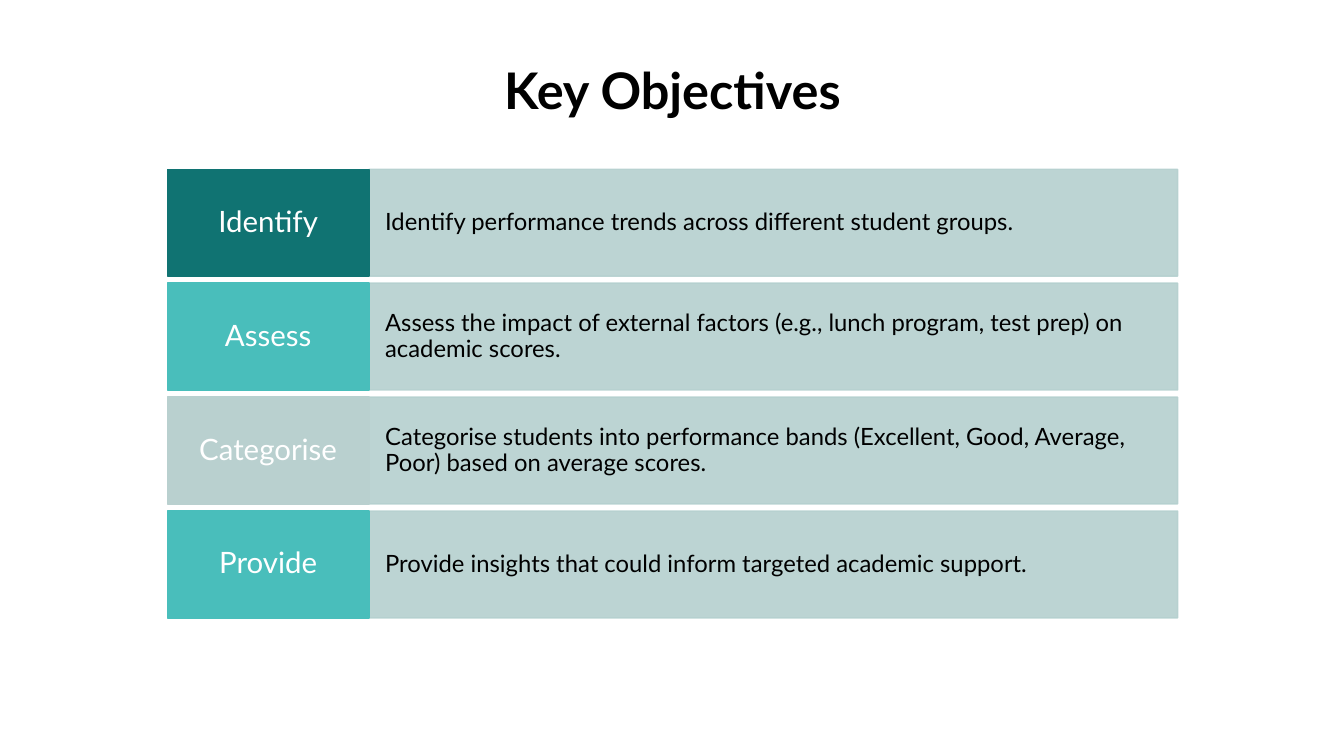
from dataclasses import dataclass

from lxml.etree import SubElement
from pptx import Presentation
from pptx.dml.color import RGBColor
from pptx.enum.shapes import MSO_SHAPE
from pptx.enum.text import MSO_ANCHOR, PP_ALIGN
from pptx.oxml.ns import qn
from pptx.util import Inches, Pt


@dataclass(frozen=True)
class Theme:
    font: str = "Lato"
    dark: str = "000000"
    light: str = "FFFFFF"
    deep_teal: str = "107372"
    teal: str = "49BEBB"
    mist: str = "B9D0CF"
    panel: str = "B5D0CF"
    panel_opacity: int = 90
    title_size: int = 36
    label_size: int = 21
    body_size: int = 17
    line_spacing: float = 0.9


class SlideBuilder:
    def __init__(self, slide, theme):
        self.slide = slide
        self.theme = theme

    def add_text(self, tf, text, size, color, align, bold=False):
        p = tf.paragraphs[0]
        p.alignment = align
        p.line_spacing = self.theme.line_spacing
        r = p.add_run()
        r.text = text
        r.font.name = self.theme.font
        r.font.size = Pt(size)
        r.font.bold = bold
        r.font.color.rgb = RGBColor.from_string(color)

    def title(self, text, left, top, width, height):
        sp = self.slide.shapes.title
        sp.left, sp.top = Inches(left), Inches(top)
        sp.width, sp.height = Inches(width), Inches(height)
        tf = sp.text_frame
        tf.vertical_anchor = MSO_ANCHOR.TOP
        self.add_text(tf, text, self.theme.title_size, self.theme.dark,
                      PP_ALIGN.CENTER, bold=True)

    def block(self, left, top, width, height, color, inset_x, inset_y, opacity=100):
        sp = self.slide.shapes.add_shape(
            MSO_SHAPE.RECTANGLE, Inches(left), Inches(top), Inches(width), Inches(height))
        sp.shadow.inherit = False
        sp.fill.solid()
        sp.fill.fore_color.rgb = RGBColor.from_string(color)
        sp.line.color.rgb = RGBColor.from_string(color)
        sp.line.width = Pt(1)
        if opacity < 100:
            for clr in sp.element.spPr.iter(qn("a:srgbClr")):
                SubElement(clr, qn("a:alpha"), val=str(opacity * 1000))
        tf = sp.text_frame
        tf.word_wrap = True
        tf.vertical_anchor = MSO_ANCHOR.MIDDLE
        tf.margin_left = tf.margin_right = Inches(inset_x)
        tf.margin_top = tf.margin_bottom = Inches(inset_y)
        return tf

    def label(self, text, color, left, top, width, height):
        tf = self.block(left, top, width, height, color, 0.11, 0.11)
        self.add_text(tf, text, self.theme.label_size, self.theme.light, PP_ALIGN.CENTER)

    def description(self, text, left, top, width, height):
        tf = self.block(left, top, width, height, self.theme.panel, 0.16, 0.27,
                        self.theme.panel_opacity)
        self.add_text(tf, text, self.theme.body_size, self.theme.dark, PP_ALIGN.LEFT)


def main():
    theme = Theme()
    prs = Presentation()
    prs.slide_width, prs.slide_height = Inches(13.33), Inches(7.5)
    s = SlideBuilder(prs.slides.add_slide(prs.slide_layouts[5]), theme)

    left, label_width, text_width = 1.66, 2, 8.02
    first_top, row_height, row_pitch = 1.68, 1.06, 1.13
    objectives = [
        ("Identify", theme.deep_teal,
         "Identify performance trends across different student groups."),
        ("Assess", theme.teal,
         "Assess the impact of external factors (e.g., lunch program, test prep) "
         "on academic scores."),
        ("Categorise", theme.mist,
         "Categorise students into performance bands (Excellent, Good, Average, Poor) "
         "based on average scores."),
        ("Provide", theme.teal,
         "Provide insights that could inform targeted academic support."),
    ]

    s.title("Key Objectives", left, 0.6, label_width + text_width, 1.24)
    for i, (name, color, text) in enumerate(objectives):
        top = first_top + i * row_pitch
        s.description(text, left + label_width, top, text_width, row_height)
        s.label(name, color, left, top, label_width, row_height)

    prs.save("out.pptx")


if __name__ == "__main__":
    main()
